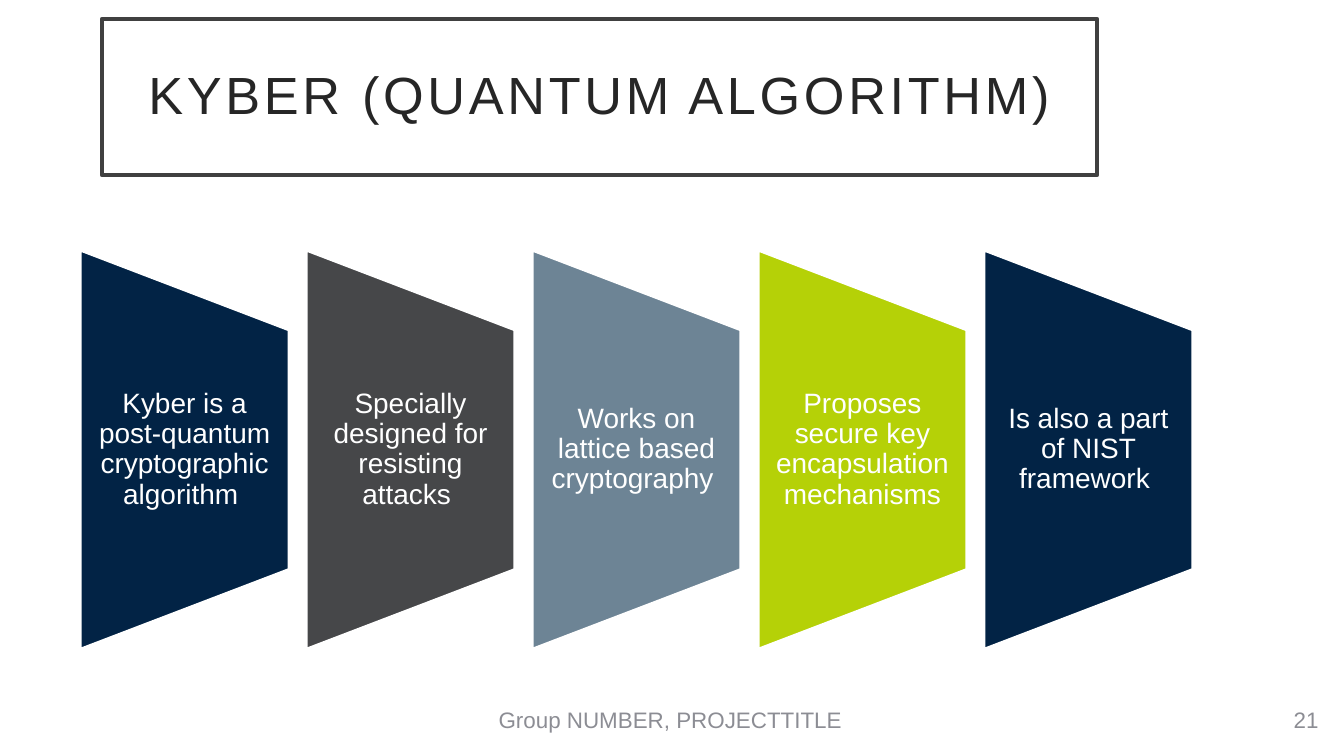
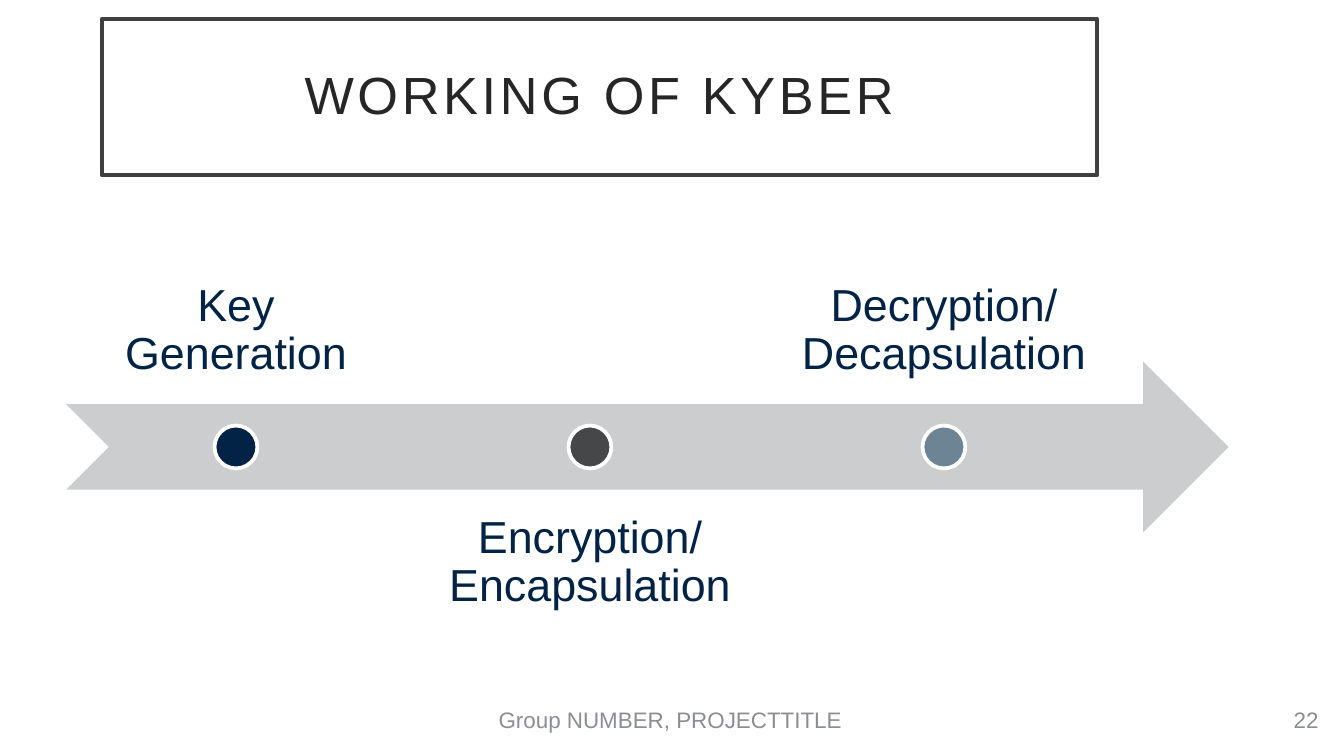
from pptx import Presentation
from pptx.dml.color import RGBColor
from pptx.enum import shapes, text
from pptx.util import Cm, Pt

# Content
FOOTER = "Group NUMBER, PROJECTTITLE"
FIRST_NUMBER = 21
FEATURES_TITLE = "KYBER (QUANTUM ALGORITHM)"
FEATURES = [
    "Kyber is a post-quantum cryptographic algorithm ",
    "Specially designed for resisting attacks ",
    "Works on lattice based cryptography ",
    "Proposes secure key encapsulation mechanisms",
    "Is also a part of NIST framework ",
]
STEPS_TITLE = "WORKING OF KYBER"
STEPS = ["Key Generation", "Encryption/Encapsulation", "Decryption/Decapsulation"]

# Shared style
FONT = "Arial"
WHITE = RGBColor(0xFF, 0xFF, 0xFF)
NAVY = RGBColor(0x02, 0x23, 0x45)
CHARCOAL = RGBColor(0x46, 0x47, 0x49)
SLATE = RGBColor(0x6D, 0x84, 0x95)
LIME = RGBColor(0xB5, 0xD1, 0x07)
ARROW_GREY = RGBColor(0xCC, 0xCD, 0xCF)
FOOTER_GREY = RGBColor(0x8C, 0x8D, 0x94)
TITLE_INK = RGBColor(0x26, 0x26, 0x26)
TITLE_FRAME = RGBColor(0x40, 0x40, 0x40)
ACCENTS = [NAVY, CHARCOAL, SLATE, LIME]
MIDDLE, TOP, BOTTOM = (text.MSO_ANCHOR.MIDDLE, text.MSO_ANCHOR.TOP,
                       text.MSO_ANCHOR.BOTTOM)
CENTER, RIGHT = text.PP_ALIGN.CENTER, text.PP_ALIGN.RIGHT


def write(box, words, size, color, align=CENTER, anchor=MIDDLE,
          inset=(0.25, 0.13), line_spacing=None, tracking=None):
    """Fill a shape with one formatted paragraph; inset is (sides, top and bottom) in cm."""
    frame = box.text_frame
    frame.word_wrap = True
    frame.auto_size = text.MSO_AUTO_SIZE.NONE
    frame.vertical_anchor = anchor
    frame.margin_left = frame.margin_right = Cm(inset[0])
    frame.margin_top = frame.margin_bottom = Cm(inset[1])
    para = frame.paragraphs[0]
    para.alignment = align
    para.line_spacing = line_spacing
    span = para.add_run()
    span.text = words
    span.font.name = FONT
    span.font.size = Pt(size)
    span.font.color.rgb = color
    if tracking:
        span.font._element.set("spc", str(tracking * 100))


def add_label(parent, words, left, top, width, height, **style):
    box = parent.shapes.add_textbox(Cm(left), Cm(top), Cm(width), Cm(height))
    write(box, words, **style)


def add_figure(parent, kind, left, top, width, height, fill, outline=None):
    figure = parent.shapes.add_shape(kind, Cm(left), Cm(top), Cm(width), Cm(height))
    figure.shadow.inherit = False
    paint(figure, fill, outline, 2)
    return figure


def paint(figure, fill, outline, weight):
    figure.fill.solid()
    figure.fill.fore_color.rgb = fill
    if outline is None:
        figure.line.fill.background()
    else:
        figure.line.color.rgb = outline
        figure.line.width = Pt(weight)


def add_page(deck, heading):
    """Add a slide with the framed title, footer and slide number."""
    page = deck.slides.add_slide(deck.slide_layouts[5])
    number = FIRST_NUMBER + len(deck.slides) - 1
    title = page.shapes.title
    title.left, title.top, title.width, title.height = Cm(1.93), Cm(0.36), Cm(18.8), Cm(2.95)
    paint(title, WHITE, TITLE_FRAME, 2.5)
    write(title, heading, 28, TITLE_INK, inset=(0.5, 0.5), line_spacing=0.9, tracking=2)
    add_label(page, FOOTER, 4.62, 13.23, 16.1, 0.76, size=12, color=FOOTER_GREY)
    add_label(page, str(number), 19.25, 13.23, 5.92, 0.76,
              size=12, color=FOOTER_GREY, align=RIGHT)
    return page


def build_features(deck):
    """Row of trapezoids, each turned on its side beneath upright text."""
    row = add_page(deck, FEATURES_TITLE).shapes.add_group_shape()
    first, pitch, middle = 1.51, 4.27, 8.5
    width, height, text_height = 3.96, 7.57, 4.55
    for index, words in enumerate(FEATURES):
        left = first + index * pitch
        panel = add_figure(
            row, shapes.MSO_SHAPE.FLOWCHART_MANUAL_OPERATION,
            left + (width - height) / 2, middle - width / 2, height, width,
            ACCENTS[index % len(ACCENTS)], WHITE)
        panel.rotation = 270
        add_label(row, words, left, middle - text_height / 2, width, text_height,
                  size=15, color=WHITE, inset=(0.25, 0), line_spacing=0.9)


def build_steps(deck):
    """Timeline arrow with labels alternating above and below it."""
    timeline = add_page(deck, STEPS_TITLE).shapes.add_group_shape()
    first, pitch, middle = 1.27, 6.69, 8.45
    width, height, dot = 6.38, 3.23, 0.81
    add_figure(timeline, shapes.MSO_SHAPE.NOTCHED_RIGHT_ARROW,
               1.25, middle - height / 2, 21.97, height, ARROW_GREY)
    for index, words in enumerate(STEPS):
        left = first + index * pitch
        top, anchor = (9.25, TOP) if index % 2 else (4.42, BOTTOM)
        add_label(timeline, words, left, top, width, height, size=24, color=NAVY,
                  anchor=anchor, inset=(0.48, 0.48), line_spacing=0.9)
        add_figure(timeline, shapes.MSO_SHAPE.OVAL, left + (width - dot) / 2,
                   middle - dot / 2, dot, dot, ACCENTS[index], WHITE)


def main():
    deck = Presentation()
    deck.slide_width, deck.slide_height = Cm(25.4), Cm(14.29)
    build_features(deck)
    build_steps(deck)
    deck.save("out.pptx")


if __name__ == "__main__":
    main()
